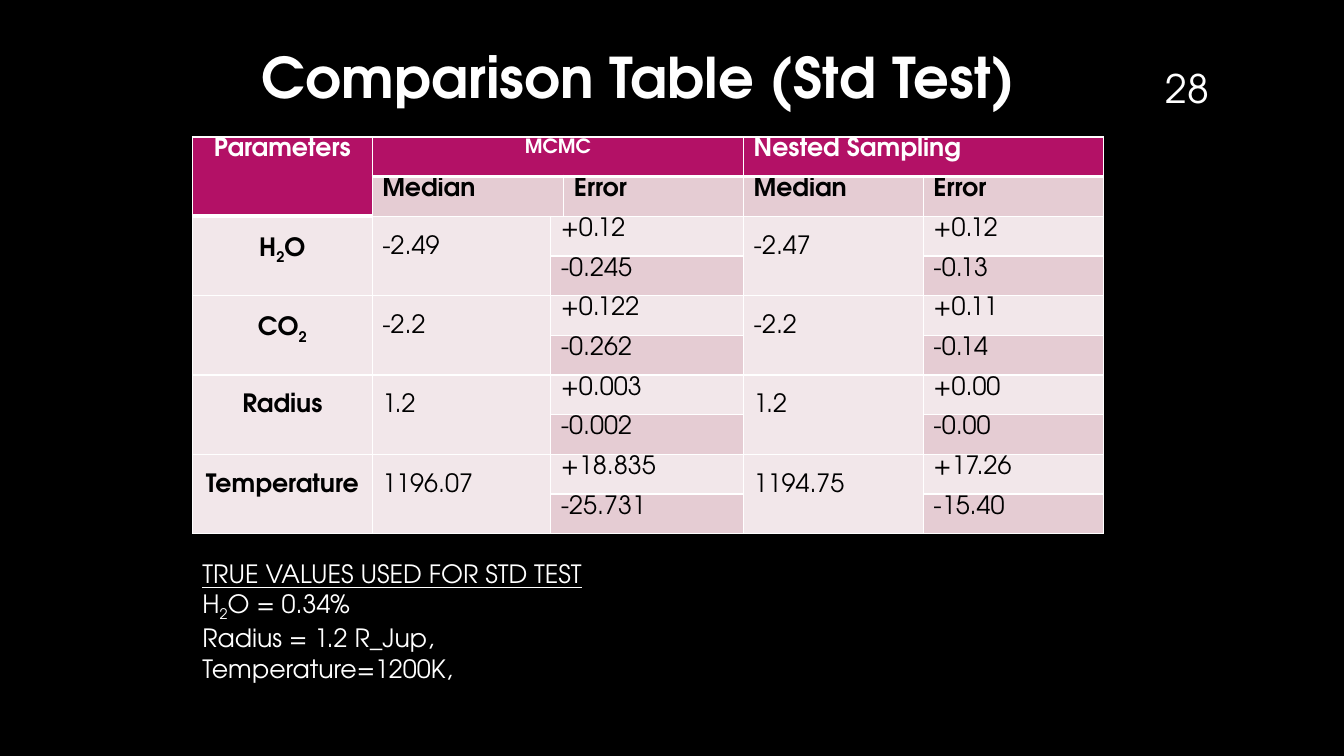
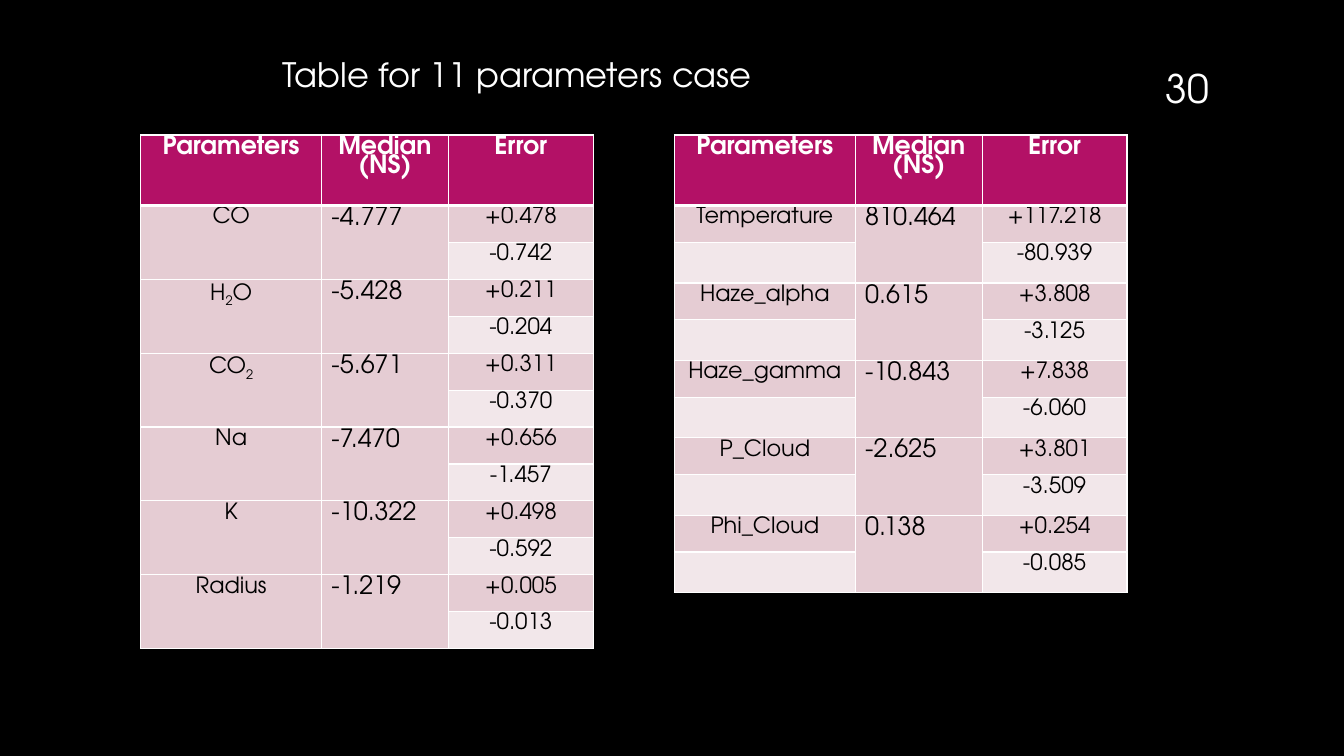
from dataclasses import dataclass

from lxml import etree
from pptx import Presentation
from pptx.dml.color import RGBColor
from pptx.enum.text import MSO_ANCHOR, MSO_AUTO_SIZE, PP_ALIGN
from pptx.oxml.ns import qn
from pptx.util import Cm, Pt

LEFT, CENTER = PP_ALIGN.LEFT, PP_ALIGN.CENTER
TOP, BOTTOM = MSO_ANCHOR.TOP, MSO_ANCHOR.BOTTOM
NO_FIT = MSO_AUTO_SIZE.NONE


@dataclass(frozen=True)
class Theme:
    font: str = "TeX Gyre Adventor"
    background: str = "000000"
    ink: str = "000000"
    paper: str = "FFFFFF"
    header: str = "B31166"
    dark_band: str = "E5CCD3"
    light_band: str = "F2E7EA"
    title: int = 40
    subtitle: int = 24
    number: int = 28
    body: int = 18
    small: int = 16
    tiny: int = 14
    tight: float = 0.8
    loose: float = 1.6
    thin_line: int = 1
    thick_line: int = 3


THEME = Theme()
SUBSCRIPT = "~"

COMPARISON = [
    ("H~2~O", ("-2.49", "+0.12", "-0.245"), ("-2.47", "+0.12", "-0.13")),
    ("CO~2~", ("-2.2", "+0.122", "-0.262"), ("-2.2", "+0.11", "-0.14")),
    ("Radius", ("1.2", "+0.003", "-0.002"), ("1.2", "+0.00", "-0.00")),
    ("Temperature", ("1196.07", "+18.835", "-25.731"),
     ("1194.75", "+17.26", "-15.40")),
]
TRUE_VALUES = [
    "TRUE VALUES USED FOR STD TEST",
    "H~2~O = 0.34%",
    "Radius = 1.2 R_Jup,",
    "Temperature=1200K,",
]
CASE_HEADINGS = ["Parameters", "Median (NS)", "Error"]
GASES = [
    ("CO", "-4.777", "+0.478", "-0.742"),
    ("H~2~O", "-5.428", "+0.211", "-0.204"),
    ("CO~2~", "-5.671", "+0.311", "-0.370"),
    ("Na", "-7.470", "+0.656", "-1.457"),
    ("K", "-10.322", "+0.498", "-0.592"),
    ("Radius", "-1.219", "+0.005", "-0.013"),
]
CLOUDS = [
    ("Temperature", "810.464", "+117.218", "-80.939"),
    ("Haze_alpha", "0.615", "+3.808", "-3.125"),
    ("Haze_gamma", "-10.843", "+7.838", "-6.060"),
    ("P_Cloud", "-2.625", "+3.801", "-3.509"),
    ("Phi_Cloud", "0.138", "+0.254", "-0.085"),
]
COMPARISON_COLUMNS = [4.53, 4.5, 0.33, 4.53, 4.53, 4.53]
CASE_COLUMNS = [4.55, 3.2, 3.65]


def color(value):
    return RGBColor.from_string(value)


def write(para, text, size, ink=THEME.paper, bold=False, align=LEFT,
          spacing=None, underline=False):
    para.alignment = align
    if spacing:
        para.line_spacing = spacing
    for index, part in enumerate(text.split(SUBSCRIPT)):
        if not part:
            continue
        span = para.add_run()
        span.text = part
        span.font.name = THEME.font
        span.font.size = Pt(size)
        span.font.bold = bold
        span.font.underline = underline
        span.font.color.rgb = color(ink)
        if index % 2:
            span.font._element.set("baseline", "-25000")


def set_frame(shape, left, top, width, height, anchor=TOP):
    shape.left, shape.top = Cm(left), Cm(top)
    shape.width, shape.height = Cm(width), Cm(height)
    frame = shape.text_frame
    frame.word_wrap = True
    frame.auto_size = NO_FIT
    frame.vertical_anchor = anchor
    return frame


def add_text(page, area, lines, size, align=LEFT, anchor=TOP, heading=False):
    box = page.shapes.add_textbox(0, 0, 0, 0)
    frame = set_frame(box, *area, anchor)
    for index, line in enumerate(lines):
        para = frame.add_paragraph() if index else frame.paragraphs[0]
        write(para, line, size, align=align,
              underline=heading and index == 0)


def add_page(deck, number, title, area, size, bold, align, inset):
    page = deck.slides.add_slide(deck.slide_layouts[5])
    frame = set_frame(page.shapes.title, *area)
    frame.margin_top = Cm(inset)
    write(frame.paragraphs[0], title, size, bold=bold, align=align)
    add_text(page, (28.75, 0.81, 2.34, 2.13), [number], THEME.number,
             CENTER, BOTTOM)
    return page


def set_borders(cell, widths):
    properties = cell._tc.get_or_add_tcPr()
    for side, width in zip("LRTB", widths):
        line = etree.SubElement(properties, qn(f"a:ln{side}"),
                                w=str(Pt(width)))
        fill = etree.SubElement(line, qn("a:solidFill"))
        etree.SubElement(fill, qn("a:srgbClr"), val=THEME.paper)


def add_grid(page, left, top, columns, rows, header_rows=1):
    shape = page.shapes.add_table(len(rows), len(columns), Cm(left), Cm(top),
                                  Cm(sum(columns)), Cm(sum(rows)))
    table = shape.table
    table.first_row = table.horz_banding = False
    for column, width in zip(table.columns, columns):
        column.width = Cm(width)
    for index, (row, height) in enumerate(zip(table.rows, rows)):
        row.height = Cm(height)
        for position, cell in enumerate(row.cells):
            depth = header_rows if position == 0 else 1
            above = THEME.thick_line if index == depth else THEME.thin_line
            below = THEME.thick_line if index < depth else THEME.thin_line
            set_borders(cell, (THEME.thin_line, THEME.thin_line, above, below))
            end = cell.text_frame.paragraphs[0]._p.get_or_add_endParaRPr()
            end.set("sz", "1200")
    return table


def put(table, row, column, text, fill, span=(1, 1), size=THEME.body,
        ink=THEME.ink, bold=False, align=LEFT, spacing=THEME.tight):
    cell = table.cell(row, column)
    if span != (1, 1):
        cell.merge(table.cell(row + span[0] - 1, column + span[1] - 1))
    cell.fill.solid()
    cell.fill.fore_color.rgb = color(fill)
    if text:
        write(cell.text_frame.paragraphs[0], text, size, ink, bold, align,
              spacing)


def put_header(table, column, text, span=(1, 1), size=THEME.body, align=CENTER):
    put(table, 0, column, text, THEME.header, span, size, THEME.paper, True,
        align)


def build_comparison(deck):
    page = add_page(deck, "28", "Comparison Table (Std Test)",
                    (3.18, 0.81, 25.83, 2.49), THEME.title, True, CENTER, 0.25)
    rows = [1.0] * (2 + 2 * len(COMPARISON))
    table = add_grid(page, 4.85, 3.45, COMPARISON_COLUMNS, rows, 2)
    put_header(table, 0, "Parameters", (2, 1))
    put_header(table, 1, "MCMC", (1, 3), THEME.tiny)
    put_header(table, 4, "Nested Sampling", (1, 2), align=LEFT)
    for column, text, width in ((1, "Median", 2), (3, "Error", 1),
                                (4, "Median", 1), (5, "Error", 1)):
        put(table, 1, column, text, THEME.dark_band, (1, width), bold=True)
    for index, (name, chain, nested) in enumerate(COMPARISON):
        row = 2 + 2 * index
        put(table, row, 0, name, THEME.light_band, (2, 1), bold=True,
            align=CENTER, spacing=THEME.loose)
        for column, width, values in ((1, 2, chain), (4, 1, nested)):
            median, upper, lower = values
            put(table, row, column, median, THEME.light_band, (2, 1),
                spacing=THEME.loose)
            put(table, row, column + 1, upper, THEME.light_band, (1, width))
            put(table, row + 1, column + 1, lower, THEME.dark_band, (1, width))
    add_text(page, (4.85, 13.94, 22.07, 3.33), TRUE_VALUES, THEME.body,
             heading=True)


def add_case_table(page, left, entries, lower_height, merge_names):
    rows = [1.78] + [0.93, lower_height] * len(entries)
    table = add_grid(page, left, 3.4, CASE_COLUMNS, rows)
    for column, text in enumerate(CASE_HEADINGS):
        put_header(table, column, text)
    centred = {"size": THEME.small, "align": CENTER}
    for index, (name, median, upper, lower) in enumerate(entries):
        row = 1 + 2 * index
        put(table, row, 0, name, THEME.dark_band,
            (2, 1) if merge_names else (1, 1), **centred)
        if not merge_names:
            put(table, row + 1, 0, "", THEME.light_band)
        put(table, row, 1, median, THEME.dark_band, (2, 1))
        put(table, row, 2, upper, THEME.dark_band, **centred)
        put(table, row + 1, 2, lower, THEME.light_band, **centred)


def build_case(deck):
    page = add_page(deck, "30", "Table for 11 parameters case",
                    (6.86, 1.24, 21.13, 1.27), THEME.subtitle, False, LEFT,
                    0.13)
    add_case_table(page, 3.55, GASES, 0.93, True)
    add_case_table(page, 17.0, CLOUDS, 1.02, False)


def main():
    deck = Presentation()
    deck.slide_width, deck.slide_height = Cm(33.87), Cm(19.05)
    background = deck.slide_master.background.fill
    background.solid()
    background.fore_color.rgb = color(THEME.background)
    build_comparison(deck)
    build_case(deck)
    deck.save("out.pptx")


if __name__ == "__main__":
    main()
